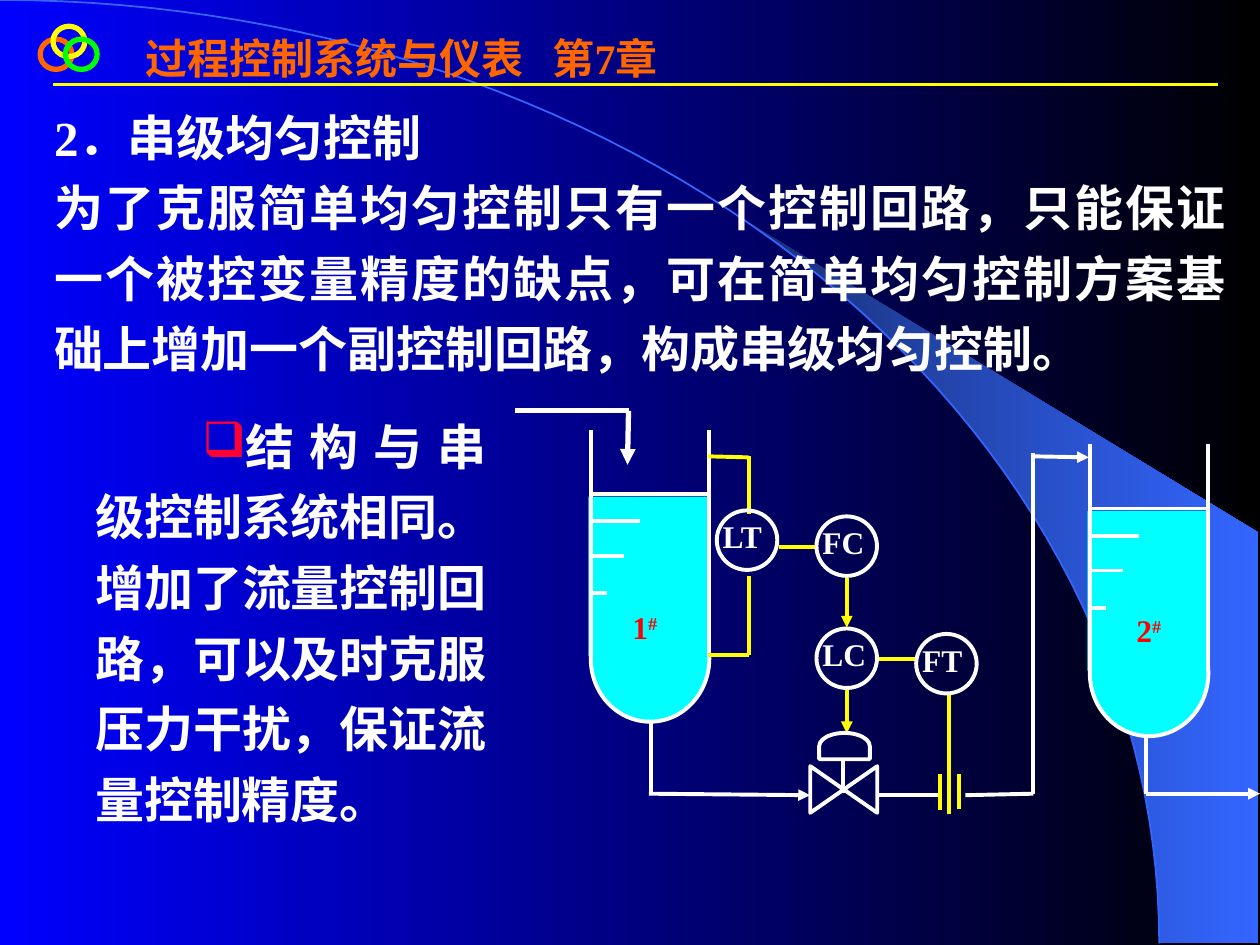
from dataclasses import dataclass
from math import asin, cos, pi, sin

from lxml.etree import SubElement
from pptx import Presentation
from pptx.dml.color import RGBColor
from pptx.enum.shapes import MSO_CONNECTOR as Link, MSO_SHAPE as Kind
from pptx.enum.text import PP_ALIGN as Align
from pptx.oxml.ns import qn
from pptx.util import Cm, Pt

WHITE, YELLOW, RED, CYAN = "FFFFFF", "FFFF00", "FF0000", "00FFFF"
FONT = "Times New Roman"
ARC_W, ARC_H = 23.37, 19.02


@dataclass
class Pipe:
    x1: float
    y1: float
    x2: float
    y2: float
    color: str = WHITE
    arrow: bool = False
    width: float = 2.25


@dataclass
class Tank:
    x: float
    y: float
    name: str
    name_x: float
    name_y: float


@dataclass
class Meter:
    name: str
    x: float
    y: float


@dataclass
class Ring:
    x: float
    y: float
    color: str


RINGS = [Ring(0.81, 0.79, "FF6600"), Ring(1.07, 0.53, YELLOW), Ring(1.32, 0.79, "00FF00")]
TANKS = [Tank(11.91, 8.66, "1", 12.5, 11.99), Tank(21.97, 8.95, "2", 22.66, 12.04)]
METERS = [Meter("LT", 14.45, 10.29), Meter("FC", 16.46, 10.41),
          Meter("LC", 16.46, 12.67), Meter("FT", 18.47, 12.78)]
PIPES = [
    Pipe(10.39, 8.28, 12.67, 8.28, width=3),
    Pipe(12.67, 8.28, 12.65, 9.37, arrow=True, width=3),
    Pipe(13.13, 14.53, 13.13, 16.02),
    Pipe(13.08, 16, 16.33, 16.03, arrow=True),
    Pipe(17.7, 16.03, 18.95, 16.03),
    Pipe(19.46, 16.03, 20.83, 16),
    Pipe(20.83, 9.14, 20.83, 16),
    Pipe(20.83, 9.2, 21.95, 9.22, arrow=True),
    Pipe(23.11, 14.81, 23.11, 16),
    Pipe(23.11, 16, 25.4, 16, arrow=True),
    Pipe(16.99, 15.32, 16.99, 15.98),
    Pipe(14.27, 9.2, 15.09, 9.22, YELLOW),
    Pipe(15.09, 9.2, 15.09, 10.36, YELLOW),
    Pipe(15.09, 11.61, 15.09, 13.21, YELLOW),
    Pipe(14.27, 13.21, 15.09, 13.21, YELLOW),
    Pipe(15.7, 11.02, 16.46, 11.02, YELLOW),
    Pipe(17.07, 11.66, 17.07, 12.65, YELLOW, True),
    Pipe(17.07, 13.89, 17.07, 14.78, YELLOW, True),
    Pipe(17.7, 13.28, 18.44, 13.28, YELLOW),
    Pipe(18.95, 15.6, 18.95, 16.33, YELLOW),
    Pipe(19.13, 14.02, 19.13, 16.41, YELLOW),
    Pipe(19.33, 15.6, 19.33, 16.31, YELLOW),
]


def paint(code: str) -> RGBColor:
    return RGBColor.from_string(code)


def blend(fill, start: str, end: str) -> None:
    fill.gradient()
    fill.gradient_angle = 0
    for stop, code in zip(fill.gradient_stops, (start, end)):
        stop.color.rgb = paint(code)


def style(shape, fill: str = "", line: str = "", width: float = 2.25) -> None:
    shape.shadow.inherit = False
    if fill:
        shape.fill.solid()
        shape.fill.fore_color.rgb = paint(fill)
    else:
        shape.fill.background()
    if line:
        shape.line.color.rgb = paint(line)
        shape.line.width = Pt(width)
    else:
        shape.line.fill.background()


def add_form(slide, kind, x: float, y: float, w: float, h: float,
             fill: str = "", line: str = "", width: float = 2.25, turn: float = 0) -> None:
    shape = slide.shapes.add_shape(kind, Cm(x), Cm(y), Cm(w), Cm(h))
    shape.rotation = turn
    style(shape, fill, line, width)


def add_pipe(slide, pipe: Pipe) -> None:
    line = slide.shapes.add_connector(
        Link.STRAIGHT, Cm(pipe.x1), Cm(pipe.y1), Cm(pipe.x2), Cm(pipe.y2))
    line.line.color.rgb = paint(pipe.color)
    line.line.width = Pt(pipe.width)
    if pipe.arrow:
        SubElement(line.line._get_or_add_ln(), qn("a:tailEnd"), type="triangle")
    SubElement(line._element.spPr, qn("a:effectLst"))


def add_box(slide, x: float, y: float, w: float, h: float):
    frame = slide.shapes.add_textbox(Cm(x), Cm(y), Cm(w), Cm(h)).text_frame
    frame.word_wrap = True
    return frame


def add_run(para, text: str, size: float, color: str = WHITE, raised: bool = False) -> None:
    run = para.add_run()
    run.text = text
    run.font.name = FONT
    run.font.size = Pt(size)
    run.font.bold = True
    run.font.color.rgb = paint(color)
    if raised:
        run._r.get_or_add_rPr().set("baseline", "30000")


def spread(para):
    para.alignment = Align.JUSTIFY
    para.line_spacing = 1.2
    return para


def add_mark(para) -> None:
    props = para._p.get_or_add_pPr()
    props.set("marL", str(Cm(0.6)))
    props.set("indent", str(Cm(2.16)))
    SubElement(SubElement(props, qn("a:buClr")), qn("a:srgbClr"), val="FF0033")
    SubElement(props, qn("a:buChar"), char="❑")


def add_curve(slide, points: list, close: bool):
    pen = slide.shapes.build_freeform(Cm(points[0][0]), Cm(points[0][1]))
    pen.add_line_segments([(Cm(x), Cm(y)) for x, y in points[1:]], close=close)
    return pen.convert_to_shape()


def trace(start: float, steps: int = 60) -> list:
    turns = [start + (pi / 2 - start) * i / steps for i in range(steps + 1)]
    return [(ARC_W * sin(t), ARC_H * (1 - cos(t))) for t in turns]


def add_scene(slide) -> None:
    blend(slide.background.fill, "0000FF", "000000")
    beam = add_curve(slide, trace(asin(0.64)) + [(25.37, ARC_H), (25.37, 10.74)], True)
    style(beam)
    blend(beam.fill, "182F76", "3366FF")
    style(add_curve(slide, trace(0), False), line="3366FF", width=1)
    add_pipe(slide, Pipe(1.07, 1.7, 24.56, 1.7, YELLOW, width=1.5))
    for ring in RINGS:
        add_form(slide, Kind.OVAL, ring.x, ring.y, 0.64, 0.61, line=ring.color, width=3)


def add_words(slide) -> None:
    title = add_box(slide, 2.69, 0.53, 11.4, 2.29).paragraphs[0]
    stops = SubElement(title._p.get_or_add_pPr(), qn("a:tabLst"))
    SubElement(stops, qn("a:tab"), pos=str(Cm(8.2)), algn="l")
    add_run(title, "过程控制系统与仪表\t第7章", 24, "FF6600")

    body = add_box(slide, 0.84, 1.8, 24.13, 5.94)
    add_run(spread(body.paragraphs[0]), "2．串级均匀控制", 28)
    add_run(spread(body.add_paragraph()),
            "为了克服简单均匀控制只有一个控制回路，只能保证一个被控变量精度的缺点，"
            "可在简单均匀控制方案基础上增加一个副控制回路，构成串级均匀控制。", 28)

    point = spread(add_box(slide, 1.07, 8.03, 8.99, 8.79).paragraphs[0])
    add_mark(point)
    add_run(point, "结构与串级控制系统相同。增加了流量控制回路，"
                   "可以及时克服压力干扰，保证流量控制精度。", 28)


def add_tank(slide, tank: Tank) -> None:
    x, y = tank.x, tank.y
    add_form(slide, Kind.OVAL, x, y + 3.35, 2.39, 2.54, CYAN, WHITE)
    add_form(slide, Kind.RECTANGLE, x - 0.05, y + 1.35, 2.41, 3.22, CYAN)
    for side in (x, x + 2.39):
        add_pipe(slide, Pipe(side, y, side, y + 4.57))
    for drop, span in ((1.3, 2.35), (1.85, 0.97), (2.55, 0.64), (3.3, 0.3)):
        add_pipe(slide, Pipe(x + 0.03, y + drop, x + 0.03 + span, y + drop))
    para = spread(add_box(slide, tank.name_x, tank.name_y, 1.73, 1.6).paragraphs[0])
    add_run(para, tank.name, 18, RED)
    add_run(para, "#", 18, RED, raised=True)


def add_meter(slide, meter: Meter) -> None:
    add_form(slide, Kind.OVAL, meter.x, meter.y, 1.22, 1.2, line=WHITE)
    frame = add_box(slide, meter.x - 0.13, meter.y - 0.14, 1.73, 1.02)
    add_run(spread(frame.paragraphs[0]), meter.name, 18)


def main() -> None:
    deck = Presentation()
    deck.slide_width, deck.slide_height = Cm(25.4), Cm(19.05)
    slide = deck.slides.add_slide(deck.slide_layouts[6])
    add_scene(slide)
    add_words(slide)
    for tank in TANKS:
        add_tank(slide, tank)
    for pipe in PIPES:
        add_pipe(slide, pipe)
    add_form(slide, Kind.FLOWCHART_COLLATE, 16.54, 15.24, 0.94, 1.35, line=WHITE, turn=270)
    add_form(slide, Kind.FLOWCHART_DELAY, 16.76, 14.53, 0.53, 1.02, line=WHITE, turn=270)
    for meter in METERS:
        add_meter(slide, meter)
    deck.save("out.pptx")


if __name__ == "__main__":
    main()
